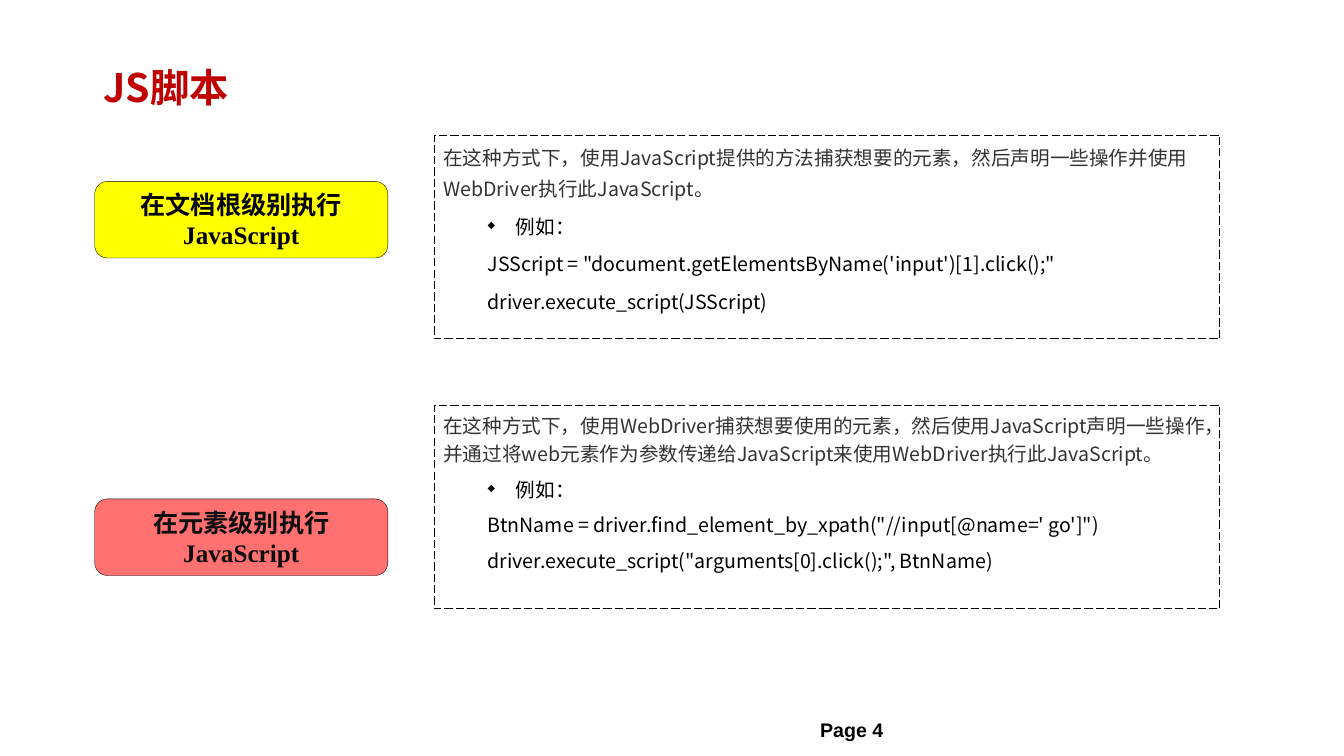
import pptx
import pptx.dml.color
import pptx.enum.dml
import pptx.enum.shapes
import pptx.enum.text
import pptx.oxml
import pptx.oxml.ns
import pptx.util
from dataclasses import dataclass

PX = 9144  # 100 px to the inch


@dataclass(frozen=True)
class Theme:
    sans: str = "Noto Sans CJK SC"
    serif: str = "Times New Roman"
    footer: str = "Arial"
    title_size: int = 28
    label_size: int = 18
    body_size: int = 14
    title: str = "C00000"
    ink: str = "000000"
    soft_ink: str = "0D0D0D"
    body: str = "333333"
    bullet: str = "080808"
    yellow: str = "FFFF00"
    red: str = "FF7070"


THEME = Theme()
SHAPES = pptx.enum.shapes.MSO_SHAPE
ALIGN = pptx.enum.text.PP_ALIGN
ANCHOR = pptx.enum.text.MSO_ANCHOR


def px(length):
    return pptx.util.Emu(length * PX)


def rgb(colour):
    return pptx.dml.color.RGBColor.from_string(colour)


def add_bullet(paragraph):
    properties = paragraph._p.get_or_add_pPr()
    ns = pptx.oxml.ns.nsdecls("a")
    for xml in (
        f'<a:buClr {ns}><a:srgbClr val="{THEME.bullet}"/></a:buClr>',
        f'<a:buSzPct {ns} val="50000"/>',
        f'<a:buChar {ns} char="◆"/>',
    ):
        properties.append(pptx.oxml.parse_xml(xml))


def write(frame, text, size=THEME.body_size, font=THEME.sans, colour=THEME.ink,
          bold=False, align=ALIGN.LEFT, spacing=None, before=None,
          indented=False, bullet=False):
    """Write one paragraph, filling the empty first one if there is one."""
    paragraph = frame.paragraphs[0]
    if paragraph.runs:
        paragraph = frame.add_paragraph()
    paragraph.alignment = align
    if spacing is not None:
        paragraph.line_spacing = spacing
    if before is not None:
        paragraph.space_before = pptx.util.Pt(before)
    if indented:
        paragraph.level = 1
        properties = paragraph._p.get_or_add_pPr()
        properties.set("marL", str(px(72)))
        properties.set("indent", str(px(-28)))
    if bullet:
        add_bullet(paragraph)
    run = paragraph.add_run()
    run.text = text
    run.font.size = pptx.util.Pt(size)
    run.font.name = font
    run.font.bold = bold
    run.font.color.rgb = rgb(colour)
    east_asian = pptx.oxml.parse_xml(
        f'<a:ea {pptx.oxml.ns.nsdecls("a")} typeface="{THEME.sans}"/>')
    run.font._element.find(pptx.oxml.ns.qn("a:latin")).addnext(east_asian)


def set_frame(shape, side=9, anchor=ANCHOR.TOP, wrap=True):
    frame = shape.text_frame
    frame.word_wrap = wrap
    frame.vertical_anchor = anchor
    frame.margin_left = frame.margin_right = px(side)
    frame.margin_top = frame.margin_bottom = px(4)
    return frame


def add_box(slide, kind, box, line_width, fill=None):
    shape = slide.shapes.add_shape(kind, *map(px, box))
    shape.shadow.inherit = False
    if fill:
        shape.fill.solid()
        shape.fill.fore_color.rgb = rgb(fill)
    else:
        shape.fill.background()
    shape.line.color.rgb = rgb(THEME.ink)
    shape.line.width = pptx.util.Pt(line_width)
    return shape


def add_title(slide, box, text):
    title = slide.shapes.add_textbox(*map(px, box))
    write(set_frame(title, anchor=ANCHOR.MIDDLE), text, size=THEME.title_size,
          colour=THEME.title, bold=True)


def add_label(slide, box, text, fill, colour):
    label = add_box(slide, SHAPES.ROUNDED_RECTANGLE, box, 0.25, fill)
    write(set_frame(label, side=8, anchor=ANCHOR.MIDDLE), text,
          size=THEME.label_size, font=THEME.serif, colour=colour, bold=True,
          align=ALIGN.CENTER)


def add_explanation(slide, box, description, code, spacing):
    panel = add_box(slide, SHAPES.RECTANGLE, box, 0.75)
    panel.line.dash_style = pptx.enum.dml.MSO_LINE.LONG_DASH
    frame = set_frame(panel)
    rhythm = dict(spacing=spacing, before=5.2)
    write(frame, description, colour=THEME.body, **rhythm)
    write(frame, "例如：", indented=True, bullet=True, **rhythm)
    for statement in code:
        write(frame, statement, indented=True, **rhythm)


def add_method(slide, box, method):
    """A label on the left, its dashed explanation on the right."""
    left, top, width, height = box
    add_label(slide, (left, top + method["label_drop"], 291, 76),
              method["label"], method["fill"], method["ink"])
    add_explanation(slide, (left + 337, top, width - 337, height),
                    method["description"], method["code"], method["spacing"])


def add_page_number(slide, box, text):
    page = slide.shapes.add_textbox(*map(px, box))
    write(set_frame(page, wrap=False), text, font=THEME.footer, bold=True)


METHODS = [
    dict(label="在文档根级别执行JavaScript", label_drop=46,
         fill=THEME.yellow, ink=THEME.ink, spacing=1.3,
         description="在这种方式下，使用JavaScript提供的方法捕获想要的元素，"
                     "然后声明一些操作并使用WebDriver执行此JavaScript。",
         code=["JSScript = \"document.getElementsByName('input')[1].click();\"",
               "driver.execute_script(JSScript)"]),
    dict(label="在元素级别执行JavaScript", label_drop=93,
         fill=THEME.red, ink=THEME.soft_ink, spacing=1.2,
         description="在这种方式下，使用WebDriver捕获想要使用的元素，"
                     "然后使用JavaScript声明一些操作，并通过将web元素作为参数"
                     "传递给JavaScript来使用WebDriver执行此JavaScript。",
         code=["BtnName = driver.find_element_by_xpath(\"//input[@name=' go']\")",
               "driver.execute_script(\"arguments[0].click();\", BtnName)"]),
]


def main():
    deck = pptx.Presentation()
    deck.slide_width, deck.slide_height = px(1334), px(750)
    slide = deck.slides.add_slide(deck.slide_layouts[6])
    add_page_number(slide, (805, 708, 164, 32), "Page 4")
    add_title(slide, (94, 39, 1127, 95), "JS脚本")
    for row, method in enumerate(METHODS):
        add_method(slide, (94, 134 + 268 * row, 1117, 202), method)
    deck.save("out.pptx")


if __name__ == "__main__":
    main()
